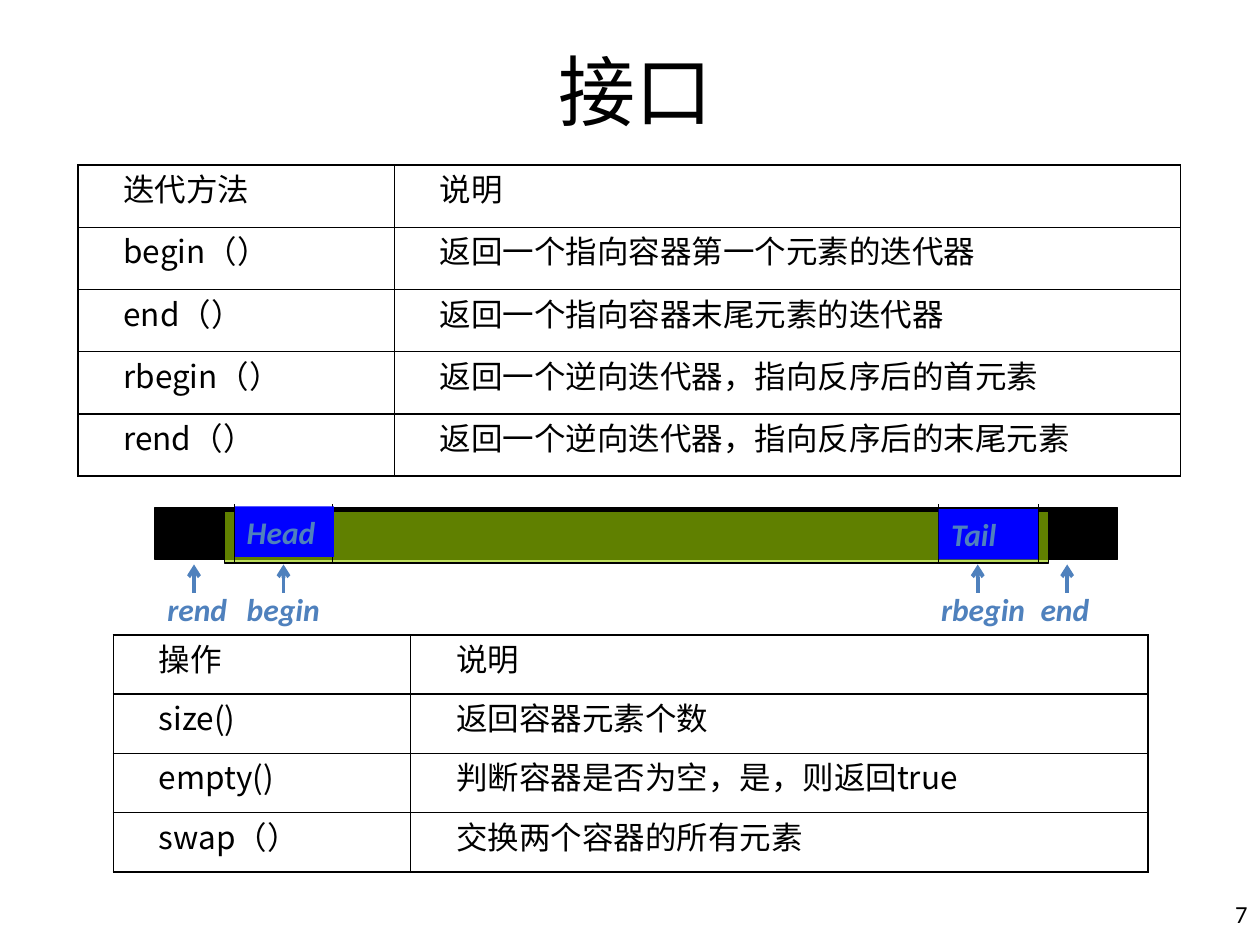
from lxml.etree import SubElement
from pptx import Presentation
from pptx.dml.color import RGBColor as RGB
from pptx.enum.shapes import MSO_CONNECTOR as CONN, MSO_SHAPE as SHAPE
from pptx.enum.text import MSO_ANCHOR as ANCHOR, PP_ALIGN as ALIGN
from pptx.oxml import parse_xml
from pptx.oxml.ns import nsdecls, qn
from pptx.util import Inches, Pt

COLORS = {"black": "000000", "bar": "99CC00", "end": "0000FF", "label": "4F81BD"}
LATIN, CJK = "Calibri", "Noto Sans CJK SC"
LABEL = {"size": Pt(18), "name": LATIN, "bold": True, "italic": True}
ITERATORS = [
    ("迭代方法", "说明"),
    ("begin（）", "返回一个指向容器第一个元素的迭代器"),
    ("end（）", "返回一个指向容器末尾元素的迭代器"),
    ("rbegin（）", "返回一个逆向迭代器，指向反序后的首元素"),
    ("rend（）", "返回一个逆向迭代器，指向反序后的末尾元素"),
]
OPERATIONS = [
    ("操作", "说明"),
    ("size()", "返回容器元素个数"),
    ("empty()", "判断容器是否为空，是，则返回true"),
    ("swap（）", "交换两个容器的所有元素"),
]


def rgb(color):
    """Return the named colour."""
    return RGB.from_string(COLORS[color])


def write(tf, text, fmt, color="black", align=ALIGN.LEFT):
    """Write one formatted paragraph into a text frame."""
    p = tf.paragraphs[0]
    p.alignment = align
    r = p.add_run()
    r.text = text
    for key, value in fmt.items():
        setattr(r.font, key, value)
    r.font.color.rgb = rgb(color)
    SubElement(r._r.get_or_add_rPr(), qn("a:ea")).set("typeface", CJK)
    return p


def add_text(s, box, text, fmt, color="black", align=ALIGN.LEFT, anchor=ANCHOR.TOP, wrap=True):
    """Add a text box."""
    tf = s.shapes.add_textbox(*map(Inches, box)).text_frame
    tf.word_wrap, tf.vertical_anchor = wrap, anchor
    write(tf, text, fmt, color, align)


def add_rect(s, box, fill, line=None, alpha=None, text=None):
    """Add a filled rectangle, optionally outlined, translucent or labelled."""
    sp = s.shapes.add_shape(SHAPE.RECTANGLE, *map(Inches, box))
    sp.shadow.inherit = False
    sp.fill.solid()
    sp.fill.fore_color.rgb = rgb(fill)
    if alpha:
        clr = sp._element.spPr.find(qn("a:solidFill"))[0]
        SubElement(clr, qn("a:alpha")).set("val", str(alpha * 1000))
    if line:
        sp.line.color.rgb = rgb(line)
        sp.line.width = Pt(0.75)
    else:
        sp.line.fill.background()
    if text:
        sp.text_frame.word_wrap = True
        sp.text_frame.vertical_anchor = ANCHOR.TOP
        write(sp.text_frame, text, LABEL, "label")


def add_vline(s, x, top, bottom, color, width, arrow=False):
    """Add a vertical line, optionally with an arrowhead at its top."""
    c = s.shapes.add_connector(CONN.STRAIGHT, *map(Inches, (x, top, x, bottom)))
    c.line.color.rgb = rgb(color)
    c.line.width = Pt(width)
    if arrow:
        SubElement(c.line._get_or_add_ln(), qn("a:headEnd")).set("type", "arrow")
    SubElement(c._element.spPr, qn("a:effectLst"))


def format_cell(cell, text):
    """Fill a table cell with indented text and black borders."""
    margins = {"margin_left": 0.07, "margin_right": 0.07, "margin_top": 0, "margin_bottom": 0}
    for key, value in margins.items():
        setattr(cell, key, Inches(value))
    p = write(cell.text_frame, text, {"size": Pt(18), "name": CJK}, align=ALIGN.JUSTIFY)
    p._p.get_or_add_pPr().set("indent", str(Inches(0.29)))
    cell.fill.background()
    tcPr = cell._tc.get_or_add_tcPr()
    for i, side in enumerate("LRTB"):
        tcPr.insert(i, parse_xml(
            f'<a:ln{side} {nsdecls("a")} w="{Pt(1)}"><a:solidFill>'
            f'<a:srgbClr val="{COLORS["black"]}"/></a:solidFill></a:ln{side}>'))


def add_grid(s, left, top, widths, height, rows):
    """Add a bordered table with equal row heights."""
    box = map(Inches, (left, top, sum(widths), height))
    table = s.shapes.add_table(len(rows), len(widths), *box).table
    table.first_row = table.horz_banding = False
    for col, width in zip(table.columns, widths):
        col.width = Inches(width)
    for row, texts in zip(table.rows, rows):
        row.height = Inches(height / len(rows))
        for cell, text in zip(row.cells, texts):
            format_cell(cell, text)


def add_container(s):
    """Draw the container bar with its ends and iterator labels."""
    for x in (2.64, 7.45):
        add_vline(s, x, 4, 4.48, "black", 0.75)
    for x, y, text in ((1.86, 4.02, "Head"), (7.45, 4.04, "Tail")):
        add_rect(s, (x, y, 0.79, 0.4), "end", text=text)
    for x in (1.86, 8.24):
        add_vline(s, x, 4, 4.48, "black", 0.75)
    pointers = [(2.25, 1.86, 0.79, "begin"), (7.76, 7.37, 1.02, "rbegin"),
                (1.54, 1.23, 0.79, "rend"), (8.47, 8.16, 0.79, "end")]
    for x, left, width, text in pointers:
        add_vline(s, x, 4.48, 4.71, "label", 2.25, arrow=True)
        add_text(s, (left, 4.63, width, 0.4), text, LABEL, "label")


def main():
    """Build the slide and save it."""
    prs = Presentation()
    prs.slide_width, prs.slide_height = Inches(10), Inches(7.5)
    s = prs.slides.add_slide(prs.slide_layouts[6])
    add_rect(s, (1.23, 4.03, 7.64, 0.41), "black", "black")
    add_rect(s, (1.78, 4.06, 6.54, 0.41), "bar", "black", alpha=63)
    add_text(s, (7.92, 7, 2.08, 0.5), "7", {"size": Pt(14), "name": LATIN},
             align=ALIGN.RIGHT, anchor=ANCHOR.MIDDLE)
    add_text(s, (0.32, 0.13, 9.45, 1.17), "接口", {"size": Pt(44), "name": LATIN},
             align=ALIGN.CENTER, anchor=ANCHOR.MIDDLE)
    add_grid(s, 0.62, 1.31, (2.51, 6.24), 2.47, ITERATORS)
    add_container(s)
    add_grid(s, 0.9, 5.04, (2.36, 5.85), 1.88, OPERATIONS)
    prs.save("out.pptx")


main()
